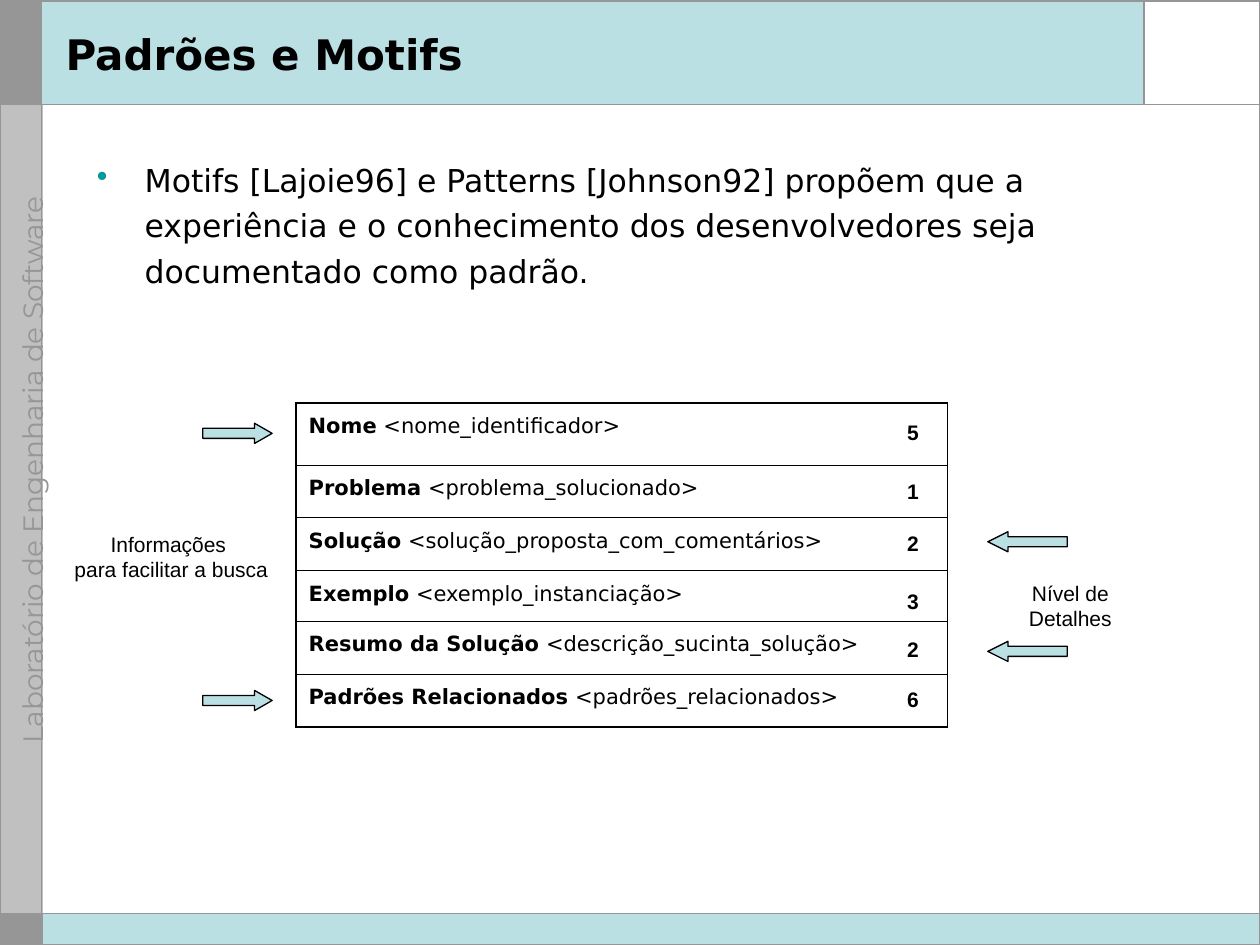
from lxml import etree
from pptx import Presentation
from pptx.dml.color import RGBColor
from pptx.enum.shapes import MSO_CONNECTOR as Conn, MSO_SHAPE as Shape
from pptx.enum.text import MSO_ANCHOR as Anchor, MSO_AUTO_SIZE as Auto, PP_ALIGN as Align
from pptx.oxml import parse_xml
from pptx.oxml.ns import nsdecls, qn
from pptx.util import Inches, Pt

COLORS = {
    "black": "000000", "white": "FFFFFF", "aqua": "BBE0E3",
    "teal": "009999", "gray": "969696", "silver": "C0C0C0",
}
ROWS = [  # label, hint, row height, number, top of number
    ("Nome", "nome_identificador", 0.49, "5", 3.28),
    ("Problema", "problema_solucionado", 0.42, "1", 3.75),
    ("Solução", "solução_proposta_com_comentários", 0.42, "2", 4.16),
    ("Exemplo", "exemplo_instanciação", 0.4, "3", 4.62),
    ("Resumo da Solução", "descrição_sucinta_solução", 0.42, "2", 5),
    ("Padrões Relacionados", "padrões_relacionados", 0.42, "6", 5.4),
]


def rgb(name):
    return RGBColor.from_string(COLORS[name])


def inches(*sizes):
    return [Inches(size) for size in sizes]


class Deck:
    """Holds the slide and the fonts used on it."""

    head, note, side = "DejaVu Sans", "Arial", "Montserrat"

    def __init__(self):
        self.prs = Presentation()
        self.prs.slide_width, self.prs.slide_height = inches(10, 7.5)
        self.slide = self.prs.slides.add_slide(self.prs.slide_layouts[5])
        self.shapes = self.slide.shapes

    def style(self, run, size, face, color="black", bold=False):
        font = run.font
        font.size, font.name, font.bold = Pt(size), face, bold
        font.color.rgb = rgb(color)

    def box(self, kind, at, fill=None, line=None, width=0.75):
        shape = self.shapes.add_shape(kind, *inches(*at))
        shape.shadow.inherit = False
        if fill:
            shape.fill.solid()
            shape.fill.fore_color.rgb = rgb(fill)
        else:
            shape.fill.background()
        if line:
            shape.line.color.rgb = rgb(line)
            shape.line.width = Pt(width)
        else:
            shape.line.fill.background()
        return shape

    def rule(self, *ends):
        line = self.shapes.add_connector(Conn.STRAIGHT, *inches(*ends))
        line.line.color.rgb = rgb("gray")
        line.line.width = Pt(1)
        etree.SubElement(line.element.spPr, qn("a:effectLst"))

    def arrow(self, kind, at, tip):
        shape = self.box(kind, at, "aqua", "black")
        shape.adjustments[1] = tip

    def title(self, text, at):
        """Fill the title and bring it in front of the frame."""
        title = self.shapes.title
        title.left, title.top, title.width, title.height = inches(*at)
        frame = title.text_frame
        frame.text = text
        frame.vertical_anchor = Anchor.MIDDLE
        frame.auto_size = Auto.NONE
        para = frame.paragraphs[0]
        para.alignment = Align.LEFT
        self.style(para.runs[0], 24, self.head, bold=True)
        title.element.getparent().append(title.element)

    def text(self, text, at, size=12, face=note, color="black", bold=False,
             align=Align.LEFT, wrap=False, auto=Auto.SHAPE_TO_FIT_TEXT):
        shape = self.shapes.add_textbox(*inches(*at))
        frame = shape.text_frame
        frame.word_wrap, frame.auto_size = wrap, auto
        para = frame.paragraphs[0]
        para.text = text
        para.alignment = align
        for run in para.runs:
            self.style(run, size, face, color, bold)
        return shape

    def bullet(self, text, at):
        shape = self.text(text, at, 18, self.head, wrap=True, auto=Auto.NONE)
        para = shape.text_frame.paragraphs[0]
        para.line_spacing = 1.2
        props = para._p.get_or_add_pPr()
        props.set("marL", str(Inches(0.38)))
        props.set("indent", str(Inches(-0.38)))
        color = etree.SubElement(props, qn("a:buClr"))
        etree.SubElement(color, qn("a:srgbClr"), val=COLORS["teal"])
        etree.SubElement(props, qn("a:buChar"), char="•")

    def border(self, cell, widths):
        """Draw left, right, top and bottom borders, in that order."""
        props = cell._tc.get_or_add_tcPr()
        for spot, (side, width) in enumerate(zip("LRTB", widths)):
            props.insert(spot, parse_xml(
                f'<a:ln{side} {nsdecls("a")} w="{Pt(width)}"><a:solidFill>'
                f'<a:srgbClr val="{COLORS["black"]}"/></a:solidFill></a:ln{side}>'))

    def table(self, rows, at):
        grid = self.shapes.add_table(len(rows), 1, *inches(*at)).table
        grid.first_row = grid.horz_banding = False
        thick, thin = 1.08, 0.45
        last = len(rows) - 1
        for i, (label, hint, height, *_) in enumerate(rows):
            grid.rows[i].height = Inches(height)
            cell = grid.cell(i, 0)
            cell.fill.background()
            self.border(cell, (thick, thick, thin if i else thick,
                               thin if i < last else thick))
            para = cell.text_frame.paragraphs[0]
            para.line_spacing = 1.2
            for text, bold in ((label, True), (f" <{hint}>", False)):
                run = para.add_run()
                run.text = text
                self.style(run, 12, self.head, bold=bold)

    def frame(self):
        """Draw the bands, side label and rules around the content."""
        rect = Shape.RECTANGLE
        self.box(rect, (0.01, 0.01, 0.33, 0.83), "gray", "gray")
        self.box(rect, (0.33, 0, 9.67, 0.83), "aqua")
        self.box(rect, (0.01, 0.83, 0.33, 6.42), "silver", "silver")
        self.box(rect, (9.08, 0, 0.92, 0.83), "white")
        self.box(rect, (0.33, 7.25, 9.67, 0.25), "aqua")
        label = self.text("Laboratório de Engenharia de Software",
                          (-1.84, 3.91, 4, 0.18), 16, self.side, "gray",
                          auto=Auto.NONE)
        label.rotation = 270
        self.box(rect, (0.01, 7.25, 0.33, 0.24), "gray", "gray")
        self.rule(9.08, 0, 9.08, 0.83)
        self.rule(0.33, 0, 0.33, 7.5)
        for y in (0.83, 7.25):
            self.rule(0, y, 10, y)
        self.box(rect, (0, 0.01, 10, 7.49), line="gray", width=1)


def main():
    deck = Deck()
    deck.frame()
    deck.title("Padrões e Motifs", (0.42, 0.12, 8.58, 0.62))
    deck.bullet("Motifs [Lajoie96] e Patterns [Johnson92] propõem que a "
                "experiência e o conhecimento dos desenvolvedores seja "
                "documentado como padrão.", (0.67, 1.17, 9.06, 5.84))
    deck.table(ROWS, (2.35, 3.2, 5.17, 2.57))
    for *_, number, top in ROWS:
        deck.text(number, (7.1, top, 0.29, 0.3), bold=True)
    for top in (3.36, 5.48):
        deck.arrow(Shape.RIGHT_ARROW, (1.61, top, 0.55, 0.16), 0.87)
    for top in (4.22, 5.09):
        deck.arrow(Shape.LEFT_ARROW, (7.84, top, 0.63, 0.16), 1)
    deck.text("Informações \vpara facilitar a busca", (0.49, 4.17, 1.74, 0.5),
              align=Align.CENTER)
    deck.text("Nível de Detalhes", (7.74, 4.56, 1.51, 0.3), align=Align.CENTER)
    deck.prs.save("out.pptx")


if __name__ == "__main__":
    main()
